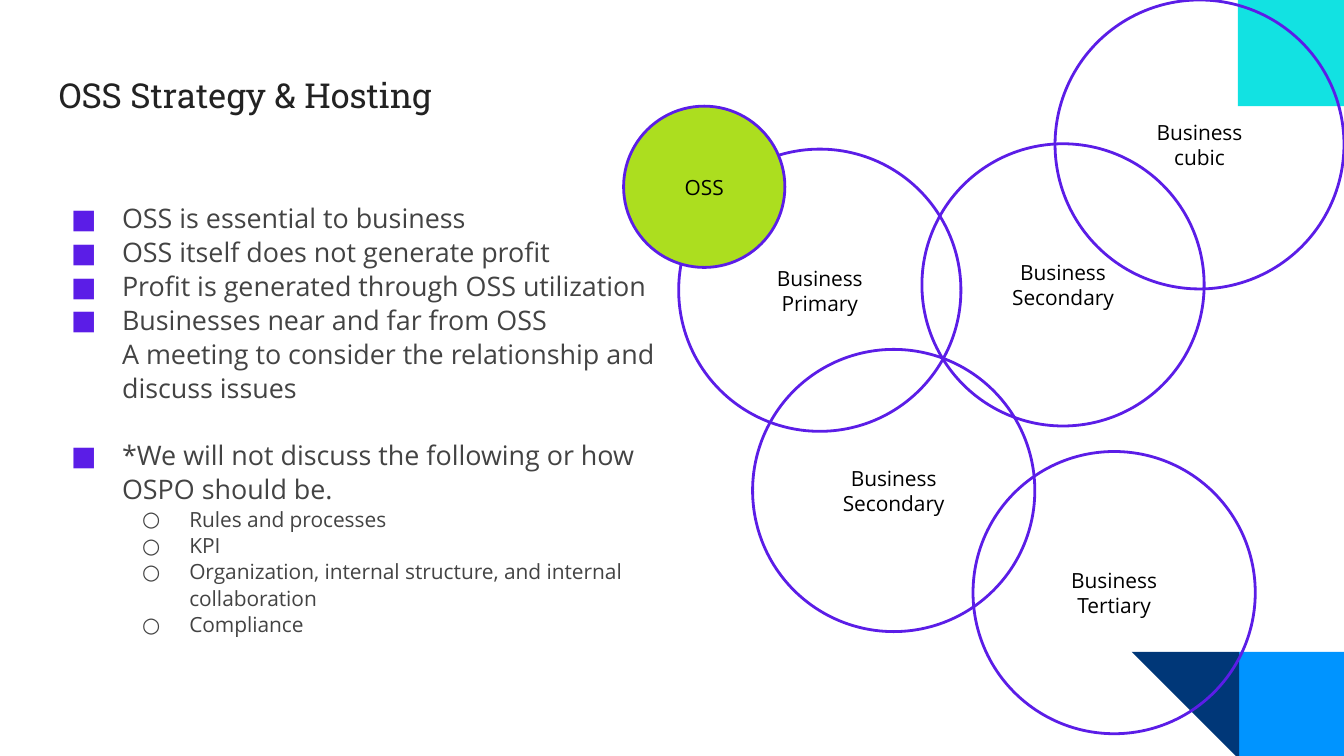
from lxml import etree
from pptx import Presentation
from pptx.dml.color import RGBColor
from pptx.enum.shapes import MSO_SHAPE
from pptx.enum.text import MSO_ANCHOR, PP_ALIGN
from pptx.oxml.ns import qn
from pptx.util import Inches, Pt

COLORS = {
    "title": "222222", "body": "434343", "label": "000000",
    "purple": "5B1DE7", "green": "ACDE1F",
    "blue": "0094FF", "navy": "003778", "cyan": "12E2E2",
}
BODY_FONT, TITLE_FONT = "Open Sans", "Roboto Slab"

# Content
TITLE = "OSS Strategy & Hosting"
# level, text, space before in points ("\v" is a line break)
BULLETS = [
    (0, "OSS is essential to business", 0),
    (0, "OSS itself does not generate profit", 0),
    (0, "Profit is generated through OSS utilization", 0),
    (0, "Businesses near and far from OSS\v"
        "A meeting to consider the relationship and discuss issues", 0),
    (0, "*We will not discuss the following or how OSPO should be.", 18.2),
    (1, "Rules and processes", 0),
    (1, "KPI", 0),
    (1, "Organization, internal structure, and internal collaboration", 0),
    (1, "Compliance", 0),
]
# character, bullet color, text size, left margin, hanging indent
LEVELS = [("■", "purple", 14.4, 0.5, 0.38), ("○", "body", 11.2, 1, 0.35)]
# label lines, left, top, diameter, fill; back to front
CIRCLES = [
    (["Business", "Secondary"], 5.6, 2.6, 2.1, None),
    (["Business\vPrimary"], 5.05, 1.11, 2.1, None),
    (["Business", "Tertiary"], 7.24, 3.36, 2.1, None),
    (["Business", "Secondary"], 6.86, 1.07, 2.1, None),
    (["Business", "cubic"], 7.85, 0, 2.15, None),
    (["OSS"], 4.64, 0.79, 1.2, "green"),
]
# preset, left, top, side, fill, rotation
CORNERS = [
    (MSO_SHAPE.RECTANGLE, 9.22, 4.85, 0.79, "blue", 0),
    (MSO_SHAPE.RIGHT_TRIANGLE, 8.42, 4.85, 0.8, "navy", 180),
    (MSO_SHAPE.RECTANGLE, 9.21, 0, 0.79, "cyan", 0),
]


def rgb(name):
    return RGBColor.from_string(COLORS[name])


def write(paragraph, text, size, color, font=BODY_FONT, align=PP_ALIGN.LEFT):
    paragraph.text = text
    paragraph.alignment = align
    paragraph.font.size = Pt(size)
    paragraph.font.name = font
    paragraph.font.color.rgb = rgb(color)


def add_bullet(paragraph, character, color, left, hanging):
    properties = paragraph._p.get_or_add_pPr()
    properties.set("marL", str(Inches(left)))
    properties.set("indent", str(-Inches(hanging)))
    bullet_color = etree.SubElement(properties, qn("a:buClr"))
    etree.SubElement(bullet_color, qn("a:srgbClr"), val=COLORS[color])
    etree.SubElement(properties, qn("a:buFont"), typeface=BODY_FONT)
    etree.SubElement(properties, qn("a:buChar"), char=character)


def set_up_frame(frame, anchor):
    frame.word_wrap = True
    frame.vertical_anchor = anchor
    frame.margin_left = frame.margin_right = Inches(0.1)
    frame.margin_top = frame.margin_bottom = Inches(0.1)


def paragraphs_for(frame, items):
    for index, item in enumerate(items):
        yield (frame.add_paragraph() if index else frame.paragraphs[0]), item


def add_text_frame(slide, left, top, width, height):
    box = slide.shapes.add_textbox(*map(Inches, (left, top, width, height)))
    set_up_frame(box.text_frame, MSO_ANCHOR.TOP)
    return box.text_frame


def add_figure(slide, preset, left, top, side, fill=None, line=None):
    shape = slide.shapes.add_shape(preset, *map(Inches, (left, top, side, side)))
    shape.shadow.inherit = False
    if fill:
        shape.fill.solid()
        shape.fill.fore_color.rgb = rgb(fill)
    else:
        shape.fill.background()
    if line:
        shape.line.color.rgb = rgb(line)
        shape.line.width = Pt(1.5)
    else:
        shape.line.fill.background()
    return shape


def main():
    # Widescreen slide, 16:9
    presentation = Presentation()
    presentation.slide_width = Inches(10)
    presentation.slide_height = Inches(10 * 9 / 16)
    slide = presentation.slides.add_slide(presentation.slide_layouts[6])

    # Corner decoration
    for preset, left, top, side, fill, rotation in CORNERS:
        add_figure(slide, preset, left, top, side, fill=fill).rotation = rotation

    # Title
    title = add_text_frame(slide, 0.34, 0.45, 9.32, 0.66)
    write(title.paragraphs[0], TITLE, size=18.4, color="title", font=TITLE_FONT)

    # Bullet list
    body = add_text_frame(slide, 0.31, 1.39, 4.75, 3.65)
    for paragraph, (level, text, space) in paragraphs_for(body, BULLETS):
        character, color, size, left, hanging = LEVELS[level]
        paragraph.level = level
        add_bullet(paragraph, character, color, left, hanging)
        paragraph.line_spacing = 1.05
        paragraph.space_before = Pt(space)
        write(paragraph, text, size=size, color="body")

    # Overlapping business circles
    for lines, left, top, diameter, fill in CIRCLES:
        circle = add_figure(slide, MSO_SHAPE.OVAL, left, top, diameter,
                            fill=fill, line="purple")
        set_up_frame(circle.text_frame, MSO_ANCHOR.MIDDLE)
        for paragraph, text in paragraphs_for(circle.text_frame, lines):
            write(paragraph, text, size=11.2, color="label", align=PP_ALIGN.CENTER)

    presentation.save("out.pptx")


if __name__ == "__main__":
    main()
